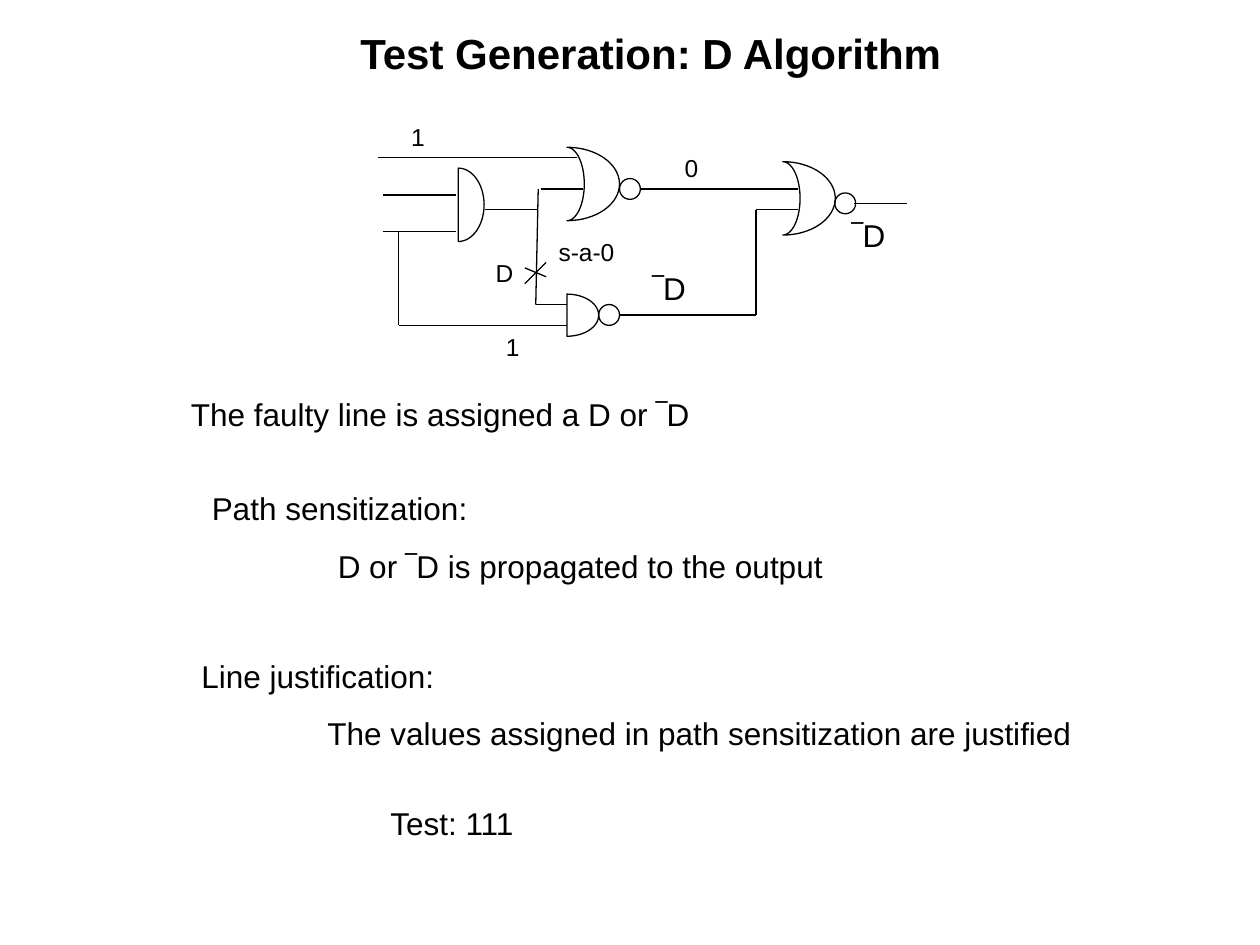
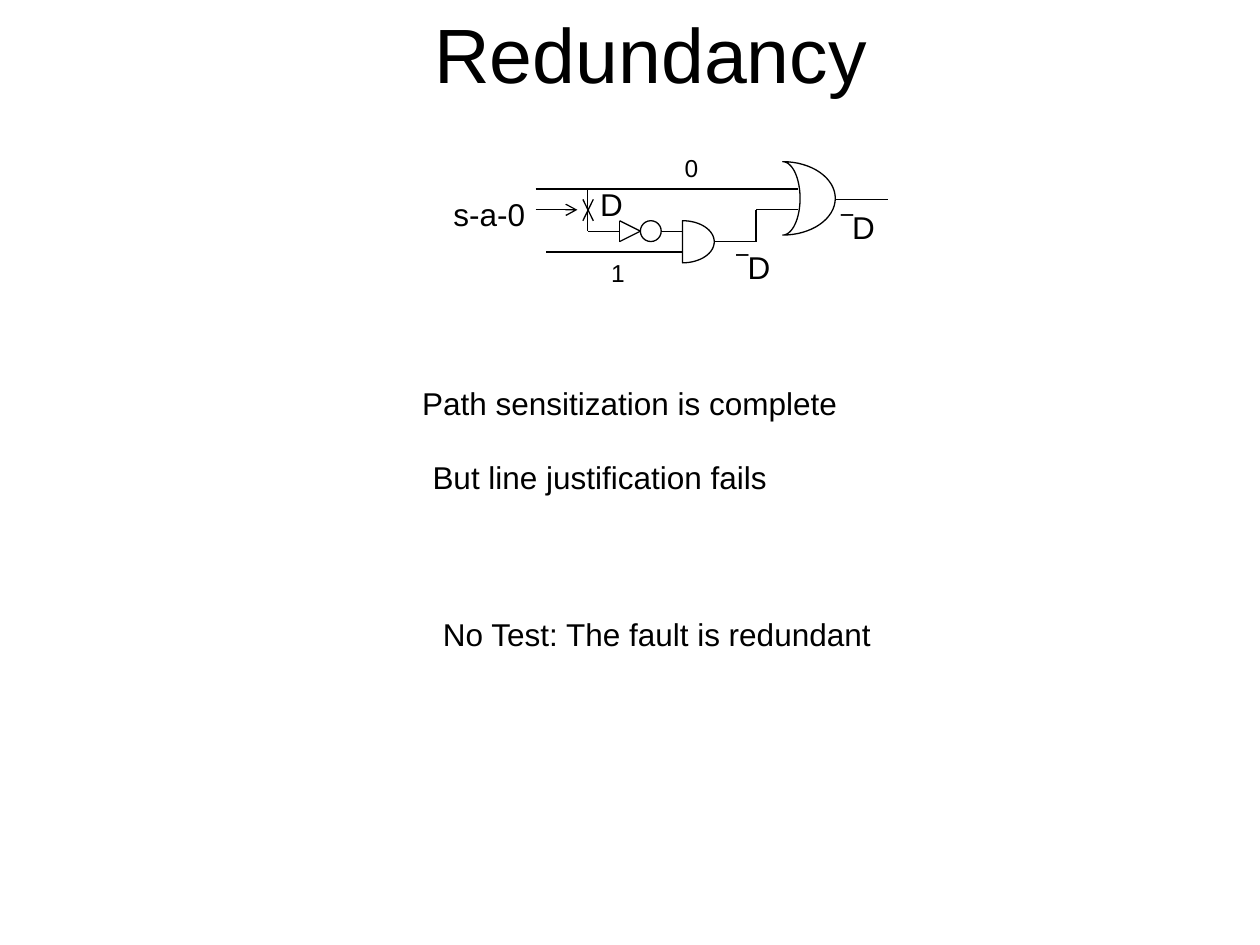
from itertools import pairwise
from math import cos, pi, sin

from lxml.etree import SubElement
from pptx import Presentation
from pptx.dml.color import RGBColor
from pptx.enum.shapes import MSO_CONNECTOR, MSO_SHAPE
from pptx.enum.text import MSO_ANCHOR, MSO_AUTO_SIZE, PP_ALIGN
from pptx.oxml.ns import qn
from pptx.util import Cm, Pt

COLORS = {"ink": "000000", "page": "FFFFFF"}
FONT = "Arial"
ARC_STEPS = 32
BUBBLE = 0.42
LABEL_HEIGHTS = {14: 0.86, 18: 1.02}


def color(name):
    """Return the named colour."""
    return RGBColor.from_string(COLORS[name])


def write_text(paragraph, text, size=18, bold=False, align=PP_ALIGN.LEFT, before=0, indent=0):
    """Write one formatted span into a paragraph."""
    paragraph.alignment = align
    paragraph.space_before = Pt(before)
    if indent:
        properties = paragraph._p.get_or_add_pPr()
        properties.set("marL", str(Cm(indent)))
        properties.set("indent", "0")
    span = paragraph.add_run()
    span.text = text
    span.font.name = FONT
    span.font.size = Pt(size)
    span.font.bold = bold
    span.font.color.rgb = color("ink")


def bulge(left, top, reach, height):
    """Return the points of a half ellipse that bulges to the right."""
    angles = [pi * step / ARC_STEPS for step in range(ARC_STEPS + 1)]
    return [
        (Cm(left + reach * sin(angle)), Cm(top + height * (1 - cos(angle)) / 2))
        for angle in angles
    ]


class CircuitPage:
    """Draw circuit elements and text on one page."""

    def __init__(self, deck):
        """Add a blank page to the deck."""
        self.page = deck.slides.add_slide(deck.slide_layouts[6])
        self.page.background.fill.solid()
        self.page.background.fill.fore_color.rgb = color("page")
        self.shapes = self.page.shapes

    def pen(self, line):
        """Apply the common line style."""
        line.color.rgb = color("ink")
        line.width = Pt(0.75)

    def outline(self, shape):
        """Leave a shape with its line only."""
        shape.shadow.inherit = False
        shape.fill.background()
        self.pen(shape.line)

    def text_box(self, left, top, width, height):
        """Add a wrapping text box and return its frame."""
        frame = self.shapes.add_textbox(Cm(left), Cm(top), Cm(width), Cm(height)).text_frame
        frame.word_wrap = True
        return frame

    def title(self, text, size, bold=False):
        """Add the page title."""
        frame = self.text_box(1.69, 0, 22.86, 2.12)
        frame.vertical_anchor = MSO_ANCHOR.MIDDLE
        write_text(frame.paragraphs[0], text, size=size, bold=bold, align=PP_ALIGN.CENTER)

    def label(self, text, left, top, width=1.69, size=18, detail=None):
        """Add a label with an optional indented second line."""
        height = LABEL_HEIGHTS[size] if detail is None else 2.18
        frame = self.text_box(left, top, width, height)
        frame.auto_size = MSO_AUTO_SIZE.SHAPE_TO_FIT_TEXT
        write_text(frame.paragraphs[0], text, size=size)
        if detail:
            write_text(frame.add_paragraph(), detail, size=size, before=11.2, indent=2.54)

    def wire(self, *points, arrow=False):
        """Join successive points with straight connectors."""
        for start, end in pairwise(points):
            line = self.shapes.add_connector(
                MSO_CONNECTOR.STRAIGHT, *(Cm(value) for value in start + end))
            self.pen(line.line)
            if arrow:
                SubElement(line.line._get_or_add_ln(), qn("a:tailEnd"), type="arrow")
            SubElement(line._element.spPr, qn("a:effectLst"))

    def bubble(self, left, middle):
        """Add an inversion bubble."""
        self.outline(self.shapes.add_shape(
            MSO_SHAPE.OVAL, Cm(left), Cm(middle - BUBBLE / 2), Cm(BUBBLE), Cm(BUBBLE)))

    def gate(self, points):
        """Add a closed gate outline."""
        builder = self.shapes.build_freeform(*points[0])
        builder.add_line_segments(points[1:], close=True)
        self.outline(builder.convert_to_shape())

    def and_gate(self, left, top, reach=0.64, height=0.85):
        """Add a gate with a flat back."""
        self.gate(bulge(left, top, reach, height))

    def or_gate(self, left, top, height=1.48):
        """Add a gate with a curved back."""
        front = bulge(left, top, 1.06, height)
        back = bulge(left, top, 0.35, height)
        self.gate(front + back[::-1])


def draw_algorithm(deck):
    """Draw the page about the D algorithm."""
    page = CircuitPage(deck)
    page.title("Test Generation: D Algorithm", 24, bold=True)
    page.and_gate(9.24, 3.39, reach=0.52, height=1.48)
    page.and_gate(11.43, 5.93)
    page.or_gate(11.43, 2.97)
    page.or_gate(15.78, 3.26)
    for left, middle in [(12.49, 3.81), (12.07, 6.35), (16.83, 4.1)]:
        page.bubble(left, middle)

    page.wire((7.62, 3.18), (11.64, 3.18))
    for height in (3.93, 4.66):
        page.wire((7.72, height), (9.2, height))
    page.wire((9.78, 4.23), (10.85, 4.23))
    page.wire((11.43, 6.14), (10.8, 6.14), (10.85, 3.81))
    page.wire((10.9, 3.81), (11.75, 3.81))
    page.wire((8.04, 4.66), (8.04, 6.56), (11.43, 6.56))
    page.wire((12.91, 3.81), (16.09, 3.81))
    page.wire((12.49, 6.35), (15.24, 6.35), (15.24, 4.23), (16.09, 4.23))
    page.wire((17.22, 4.1), (18.29, 4.1))
    page.wire((10.58, 5.4), (11.01, 5.58))
    page.wire((10.58, 5.72), (11.01, 5.29))

    for text, left, top, width in [
        ("1", 8.04, 2.33, 1.27),
        ("0", 13.55, 2.96, 1.27),
        ("1", 9.95, 6.56, 1.27),
        ("D", 9.74, 5.08, 1.06),
        ("s-a-0", 11.01, 4.66, 2.33),
    ]:
        page.label(text, left, top, width, size=14)
    page.label("‾D", 12.91, 5.29)
    page.label("‾D", 16.93, 4.23)
    page.label("The faulty line is assigned a D or ‾D", 3.6, 7.83, 11.64)
    page.label("Path sensitization:", 4.02, 9.74, 15.66,
               detail="D or ‾D is propagated to the output")
    page.label("Line justification:", 3.81, 13.12, 19.47,
               detail="The values assigned in path sensitization are justified")
    page.label("Test: 111", 7.62, 16.09, 3.6)


def draw_redundancy(deck):
    """Draw the page about a redundant fault."""
    page = CircuitPage(deck)
    page.title("Redundancy", 44)
    page.and_gate(13.76, 4.45)
    page.or_gate(15.78, 3.26)
    page.bubble(12.91, 4.66)

    page.wire((10.8, 3.81), (16.09, 3.81))
    page.wire((11.01, 5.08), (13.76, 5.08))
    page.wire((14.39, 4.87), (15.24, 4.87), (15.24, 4.23), (16.09, 4.23))
    page.wire((16.84, 4.02), (17.91, 4.02))
    page.wire((11.85, 3.81), (11.85, 4.66), (12.49, 4.66))
    page.wire((12.49, 4.45), (12.91, 4.66), (12.49, 4.87), (12.49, 4.45))
    page.wire((13.34, 4.66), (13.76, 4.66))
    page.wire((11.75, 4.02), (11.96, 4.45))
    page.wire((11.75, 4.45), (11.96, 4.02))
    page.wire((10.8, 4.23), (11.64, 4.23), arrow=True)

    page.label("0", 13.55, 2.96, 1.27, size=14)
    page.label("1", 12.07, 5.08, 1.27, size=14)
    for text, left, top, width in [
        ("s-a-0", 8.89, 3.81, 2.54),
        ("D", 11.85, 3.6, 1.69),
        ("‾D", 14.61, 4.87, 1.69),
        ("‾D", 16.72, 4.06, 1.69),
        ("Path sensitization is complete", 8.26, 7.62, 9.1),
        ("But line justification fails", 8.47, 9.1, 9.74),
        ("No Test: The fault is redundant", 8.68, 12.28, 10.8),
    ]:
        page.label(text, left, top, width)


def main():
    """Build and save the deck."""
    deck = Presentation()
    deck.slide_width, deck.slide_height = Cm(25.4), Cm(19.05)
    draw_algorithm(deck)
    draw_redundancy(deck)
    deck.save("out.pptx")


if __name__ == "__main__":
    main()
